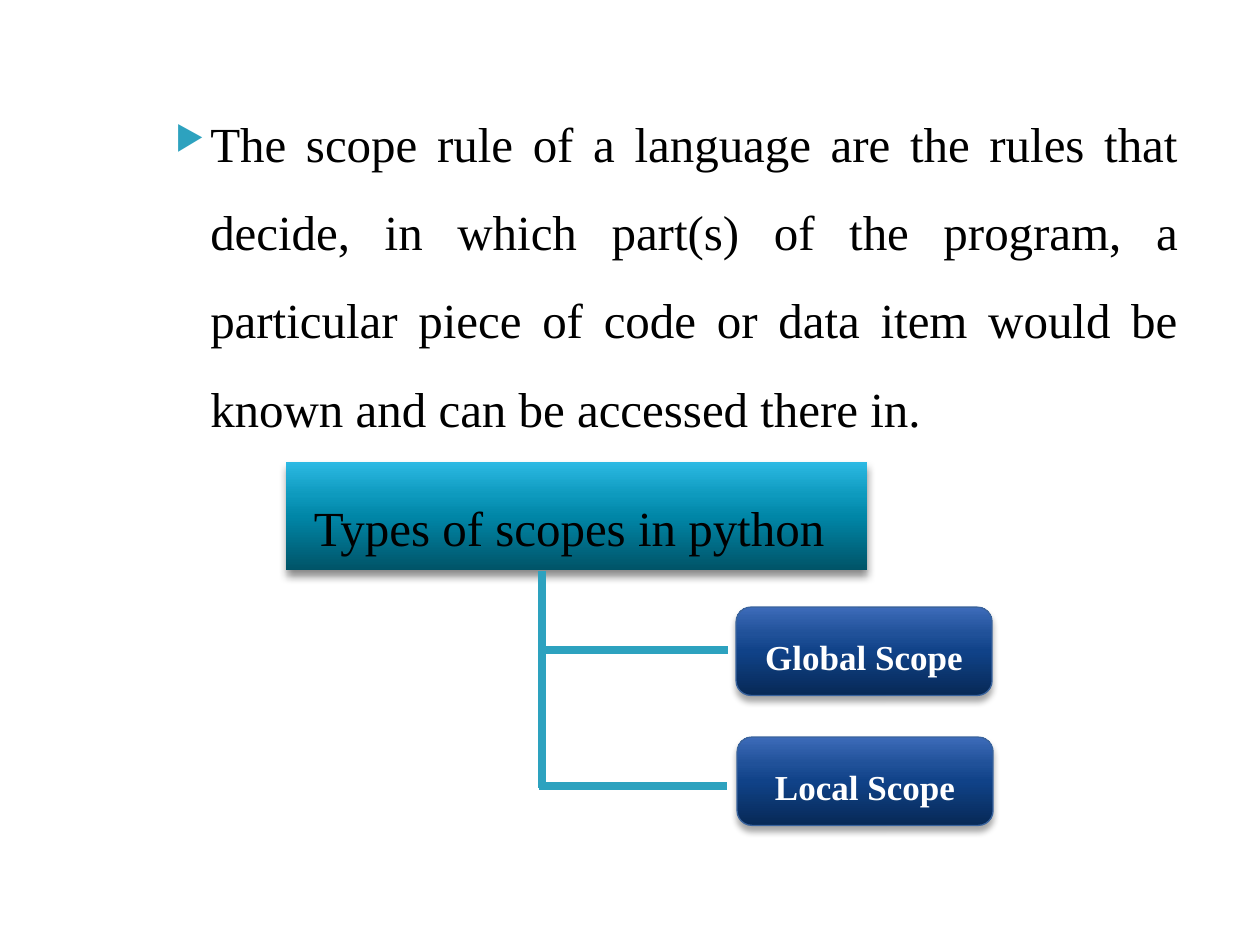
from lxml import etree
from pptx import Presentation
from pptx.dml.color import RGBColor
from pptx.enum.shapes import MSO_CONNECTOR, MSO_SHAPE
from pptx.enum.text import MSO_ANCHOR, PP_ALIGN
from pptx.oxml.ns import qn
from pptx.util import Cm, Pt

RECT, ROUND = MSO_SHAPE.RECTANGLE, MSO_SHAPE.ROUNDED_RECTANGLE
LINE = MSO_CONNECTOR.STRAIGHT
TOP, MIDDLE = MSO_ANCHOR.TOP, MSO_ANCHOR.MIDDLE
CENTER, JUSTIFY = PP_ALIGN.CENTER, PP_ALIGN.JUSTIFY

FONT = "Times New Roman"
HEX = {"black": "000000", "white": "FFFFFF", "teal": "2DA2BF", "edge": "39639D"}
# Gradient stops from bottom to top: percent, colour
TEAL = [(0, "005367"), (50, "0086A7"), (70, "0E9ABE"), (100, "2CB9E3")]
NAVY = [(0, "072956"), (50, "104288"), (70, "205199"), (100, "3D6BB9")]

RULE = ("The scope rule of a language are the rules that decide, in which "
        "part(s) of the program, a particular piece of code or data item "
        "would be known and can be accessed there in.")


def rgb(name):
    return RGBColor.from_string(HEX[name])


def add(parent, tag, **attrs):
    """Append a drawing element with the given attributes."""
    return etree.SubElement(parent, qn(tag), {k: str(v) for k, v in attrs.items()})


def write(frame, text, size, color, align, bold=False):
    frame.word_wrap = True
    para = frame.paragraphs[0]
    para.text = text
    para.alignment = align
    para.font.name, para.font.size = FONT, Pt(size)
    para.font.bold, para.font.color.rgb = bold, rgb(color)
    return para


def hang(para):
    """Body style: wide lines and a hanging indent."""
    para.line_spacing = 1.5
    para.space_before = Pt(4)
    props = para._p.get_or_add_pPr()
    props.set("marL", str(Cm(1.02)))
    props.set("indent", str(Cm(-0.71)))
    return props


def add_box(slide, kind, box, stops, alpha, blur, dist):
    """Shape with a vertical gradient and a soft shadow below."""
    shape = slide.shapes.add_shape(kind, *map(Cm, box))
    shape.fill.gradient()
    shape.fill.gradient_angle = 90
    props = shape._element.spPr
    ramp = props.find(".//" + qn("a:gsLst"))
    for old in list(ramp):
        ramp.remove(old)
    for pos, color in stops:
        add(add(ramp, "a:gs", pos=pos * 1000), "a:srgbClr", val=color)
    shape.line.fill.background()
    glow = add(add(props, "a:effectLst"), "a:outerShdw", blurRad=Pt(blur),
               dist=Pt(dist), dir=5400000, rotWithShape=0)
    add(add(glow, "a:srgbClr", val=HEX["black"]), "a:alpha", val=alpha * 1000)
    return shape


def add_rule(slide):
    box = slide.shapes.add_textbox(Cm(2.97), Cm(1.57), Cm(21.03), Cm(7.54))
    props = hang(write(box.text_frame, RULE, 28, "black", JUSTIFY))
    add(add(props, "a:buClr"), "a:srgbClr", val=HEX["teal"])
    add(props, "a:buSzPct", val=68000)
    add(props, "a:buChar", char="▶")


def add_head(slide):
    shape = add_box(slide, RECT, (5.77, 9.32, 11.71, 2.18), TEAL, 45, 5, 3)
    frame = shape.text_frame
    frame.vertical_anchor = TOP
    hang(write(frame, "Types of scopes in python", 28, "black", JUSTIFY))


def add_scope(slide, text, left, top):
    shape = add_box(slide, ROUND, (left, top, 5.16, 1.78), NAVY, 35, 4, 3)
    shape.line.color.rgb = rgb("edge")
    shape.line.width = Pt(0.75)
    frame = shape.text_frame
    frame.vertical_anchor = MIDDLE
    frame.margin_top = Cm(0.33)
    write(frame, text, 20, "white", CENTER, bold=True)


def add_line(slide, *ends):
    line = slide.shapes.add_connector(LINE, *map(Cm, ends))
    line.line.color.rgb = rgb("teal")
    line.line.width = Pt(4.5)
    add(line._element.spPr, "a:effectLst")


def main():
    deck = Presentation()
    deck.slide_width, deck.slide_height = Cm(25.4), Cm(19.05)
    slide = deck.slides.add_slide(deck.slide_layouts[6])

    # Definition
    add_rule(slide)

    # Tree of scopes
    add_head(slide)
    add_scope(slide, "Global Scope", 14.84, 12.24)
    add_scope(slide, "Local Scope", 14.86, 14.86)

    # Trunk and branches
    add_line(slide, 10.92, 11.51, 10.92, 15.88)
    add_line(slide, 10.92, 13.11, 14.68, 13.11)
    add_line(slide, 10.87, 15.85, 14.66, 15.85)

    deck.save("out.pptx")


if __name__ == "__main__":
    main()
